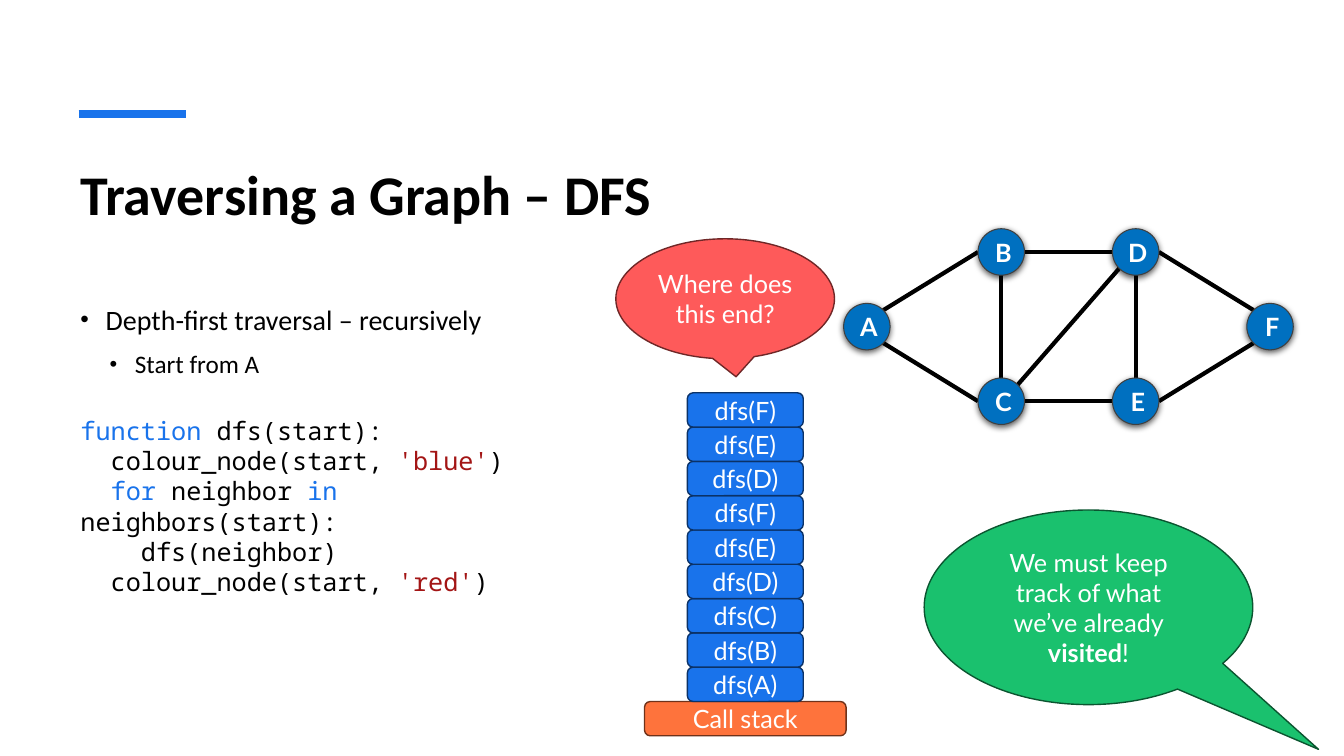
"""Build a slide on depth-first graph traversal with code, call stack and graph."""
import math

import lxml.etree
import pptx
import pptx.dml.color
import pptx.enum.shapes
import pptx.enum.text
import pptx.oxml.ns
import pptx.util

Pt = pptx.util.Pt
RGBColor = pptx.dml.color.RGBColor
SHAPE = pptx.enum.shapes.MSO_SHAPE
ANCHOR = pptx.enum.text.MSO_ANCHOR
ALIGN = pptx.enum.text.PP_ALIGN

BLACK = RGBColor(0x00, 0x00, 0x00)
WHITE = RGBColor(0xFF, 0xFF, 0xFF)
BLUE = RGBColor(0x19, 0x73, 0xEB)
DARK_BLUE = RGBColor(0x0B, 0x32, 0x67)
NODE_BLUE = RGBColor(0x00, 0x70, 0xC0)
GREY = RGBColor(0x40, 0x40, 0x40)
STRING_RED = RGBColor(0xA3, 0x15, 0x15)
ORANGE = RGBColor(0xFE, 0x73, 0x3C)
DARK_ORANGE = RGBColor(0x6F, 0x32, 0x1A)
RED = RGBColor(0xFE, 0x5A, 0x5A)
DARK_RED = RGBColor(0x6F, 0x27, 0x27)
GREEN = RGBColor(0x1A, 0xC1, 0x6E)
DARK_GREEN = RGBColor(0x0B, 0x55, 0x30)

TITLE = "Traversing a Graph – DFS"
BULLETS = [
    ("Depth-first traversal – recursively", 20, 18, 0),
    ("Start from A", 18, 38.9, 5),
]
CODE = [
    [("function ", BLUE), ("dfs(start):", BLACK)],
    [("  colour_node(start, ", BLACK), ("'blue'", STRING_RED), (")", BLACK)],
    [("  ", BLACK), ("for", BLUE), (" neighbor ", BLACK), ("in", BLUE),
     (" neighbors(start):", BLACK)],
    [("    dfs(neighbor)", BLACK)],
    [("  colour_node(start, ", BLACK), ("'red'", STRING_RED), (")", BLACK)],
]
CALLS = "ABCDEFDEF"
NODES = {"A": (0, 1), "B": (1, 0), "C": (1, 2), "D": (2, 0), "E": (2, 2), "F": (3, 1)}
EDGES = [
    ("A", -45, "B", 180), ("B", 0, "D", 180), ("A", 45, "C", 180),
    ("C", 0, "E", 180), ("C", -90, "B", 90), ("D", 0, "F", -135),
    ("E", 0, "F", 135), ("E", -90, "D", 90), ("C", -45, "D", 135),
]
CALLOUTS = [
    ((439.9, 170.6, 156.2, 85.7), (0.05, 0.65), RED, DARK_RED,
     [("Where does this end?", False)]),
    ((660.2, 364.3, 234.7, 139), (0.7, 0.73), GREEN, DARK_GREEN,
     [("We must keep track of what we’ve already ", False), ("visited", True), ("!", False)]),
]

GRAPH_LEFT, GRAPH_TOP = 619.2, 180
COLUMN_STEP, ROW_STEP = 96, 53.3
NODE_RADIUS = 16.6
STACK_CENTRE, STACK_BASE, STACK_STEP = 532.4, 501.1, 24.5
BODY_FONT = {"name": "Calibri", "color": BLACK}
LABEL_FONT = {"name": "Lato", "size": Pt(18), "color": WHITE}
CODE_FONT = {"name": "Noto Sans Mono", "size": Pt(18)}
TIGHT = {"margin_left": 0, "margin_right": 0, "margin_top": 0, "margin_bottom": 0}


def apply(target, values):
    for name, value in values.items():
        if name == "color":
            target.color.rgb = value
        else:
            setattr(target, name, value)


def add_run(paragraph, text, font):
    run = paragraph.add_run()
    run.text = text
    apply(run.font, font)


def add_element(parent, tag, **attributes):
    element = lxml.etree.SubElement(parent, pptx.oxml.ns.qn(tag))
    for name, value in attributes.items():
        element.set(name, str(value))
    return element


def add_text_frame(slide, box):
    frame = slide.shapes.add_textbox(*map(Pt, box)).text_frame
    frame.word_wrap = True
    return frame


def add_label_shape(slide, kind, box, fill, outline, width, runs, margins):
    shape = slide.shapes.add_shape(kind, *map(Pt, box))
    shape.shadow.inherit = False
    shape.fill.solid()
    shape.fill.fore_color.rgb = fill
    apply(shape.line, {"color": outline, "width": Pt(width)})
    frame = shape.text_frame
    apply(frame, {"word_wrap": True, "vertical_anchor": ANCHOR.MIDDLE, **margins})
    paragraph = frame.paragraphs[0]
    paragraph.alignment = ALIGN.CENTER
    for text, bold in runs:
        add_run(paragraph, text, {**LABEL_FONT, "bold": bold})
    return shape


def add_line(slide, start, end, color, width):
    kind = pptx.enum.shapes.MSO_CONNECTOR.STRAIGHT
    connector = slide.shapes.add_connector(kind, *map(Pt, (*start, *end)))
    apply(connector.line, {"color": color, "width": Pt(width)})
    add_element(connector._element.spPr, "a:effectLst")


def add_heading(slide):
    add_line(slide, (56.2, 81.4), (133.2, 81.4), BLUE, 6)
    frame = add_text_frame(slide, (50.4, 108, 857.5, 86.4))
    frame.margin_top = Pt(6)
    add_run(frame.paragraphs[0], TITLE, {**BODY_FONT, "size": Pt(40), "bold": True})


def add_bullets(slide):
    frame = add_text_frame(slide, (50.4, 207.4, 347.8, 73.4))
    for index, (text, size, indent, before) in enumerate(BULLETS):
        paragraph = frame.add_paragraph() if index else frame.paragraphs[0]
        properties = paragraph._p.get_or_add_pPr()
        properties.set("marL", str(Pt(indent)))
        properties.set("indent", str(-Pt(18)))
        add_element(properties, "a:buSzPct", val=87000)
        add_element(properties, "a:buFont", typeface="Arial")
        add_element(properties, "a:buChar", char="•")
        apply(paragraph, {"level": index, "line_spacing": 1.2, "space_before": Pt(before)})
        add_run(paragraph, text, {**BODY_FONT, "size": Pt(size)})


def add_code(slide):
    frame = add_text_frame(slide, (50.4, 293, 363.6, 116.6))
    for index, line in enumerate(CODE):
        paragraph = frame.add_paragraph() if index else frame.paragraphs[0]
        paragraph.line_spacing = Pt(21.6)
        for text, color in line:
            add_run(paragraph, text, {**CODE_FONT, "color": color})


def node_centre(name):
    column, row = NODES[name]
    return GRAPH_LEFT + column * COLUMN_STEP, GRAPH_TOP + row * ROW_STEP


def node_rim(name, degrees):
    x, y = node_centre(name)
    angle = math.radians(degrees)
    return x + NODE_RADIUS * math.cos(angle), y + NODE_RADIUS * math.sin(angle)


def add_graph(slide):
    for start, start_angle, end, end_angle in EDGES:
        add_line(slide, node_rim(start, start_angle), node_rim(end, end_angle), BLACK, 3)
    for name in NODES:
        x, y = node_centre(name)
        box = (x - NODE_RADIUS, y - NODE_RADIUS, 2 * NODE_RADIUS, 2 * NODE_RADIUS)
        node = add_label_shape(slide, SHAPE.OVAL, box, NODE_BLUE, GREY, 0.75,
                               [(name, True)], {**TIGHT, "margin_left": Pt(3)})
        effects = node._element.spPr.find(pptx.oxml.ns.qn("a:effectLst"))
        shadow = add_element(effects, "a:outerShdw", blurRad=Pt(4.5), dist=Pt(1.5),
                             dir=5400000, rotWithShape=0)
        color = add_element(shadow, "a:srgbClr", val=BLACK)
        add_element(color, "a:alpha", val=63000)


def add_call_stack(slide):
    frames = [("Call stack", 144, ORANGE, DARK_ORANGE)]
    frames += [(f"dfs({name})", 82.8, BLUE, DARK_BLUE) for name in CALLS]
    for index, (text, width, fill, outline) in enumerate(frames):
        box = (STACK_CENTRE - width / 2, STACK_BASE - index * STACK_STEP, width, STACK_STEP)
        add_label_shape(slide, SHAPE.ROUNDED_RECTANGLE, box, fill, outline, 1,
                        [(text, False)], TIGHT)


def add_callouts(slide):
    for box, tip, fill, outline, runs in CALLOUTS:
        callout = add_label_shape(slide, SHAPE.OVAL_CALLOUT, box, fill, outline, 1, runs, {})
        callout.adjustments[0], callout.adjustments[1] = tip


def main():
    presentation = pptx.Presentation()
    apply(presentation, {"slide_width": Pt(960), "slide_height": Pt(540)})
    slide = presentation.slides.add_slide(presentation.slide_layouts[6])
    for add_part in (add_heading, add_bullets, add_code, add_graph, add_call_stack, add_callouts):
        add_part(slide)
    presentation.save("out.pptx")


if __name__ == "__main__":
    main()
